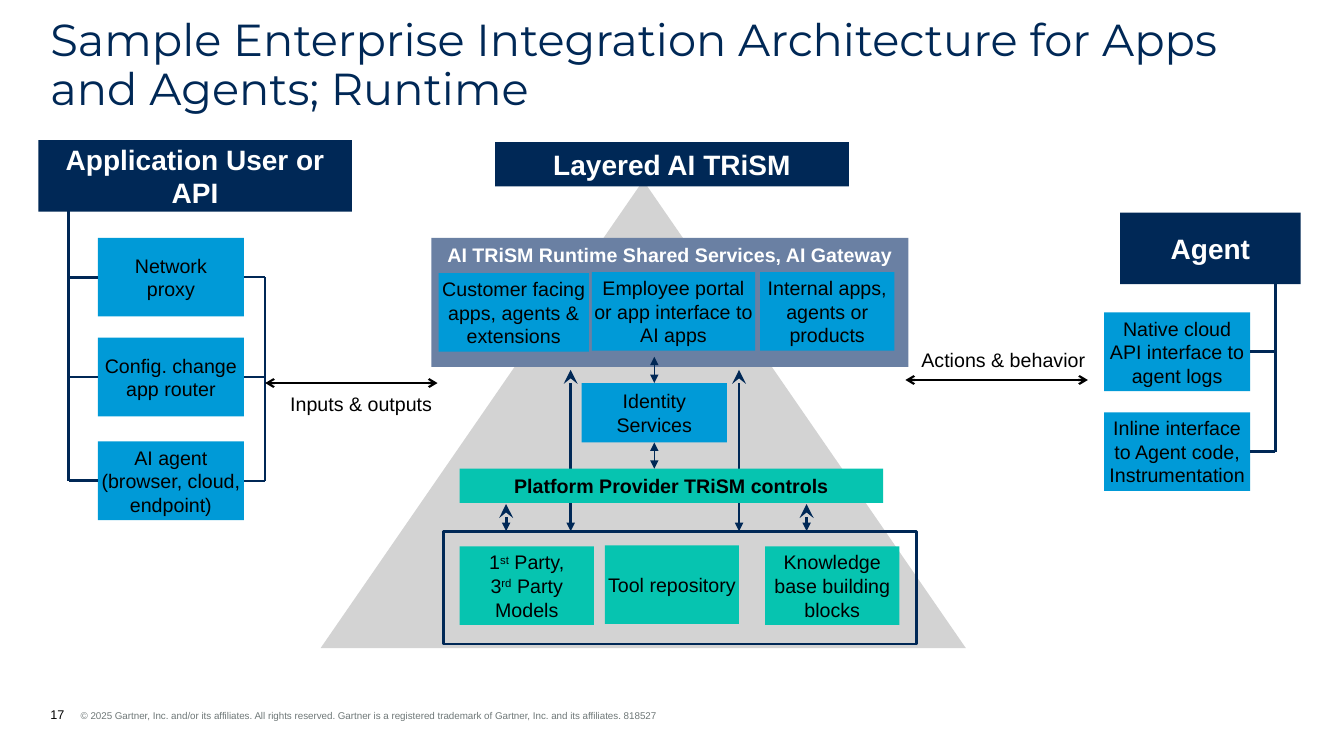
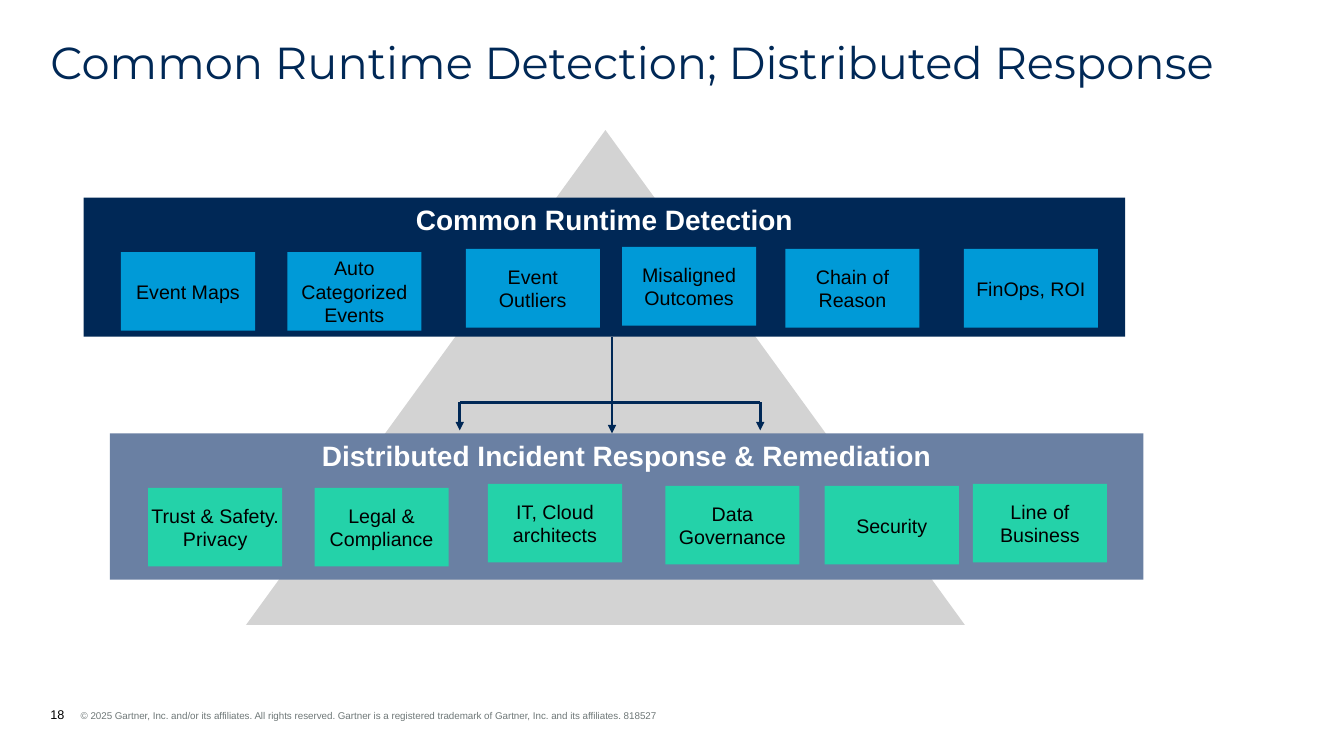
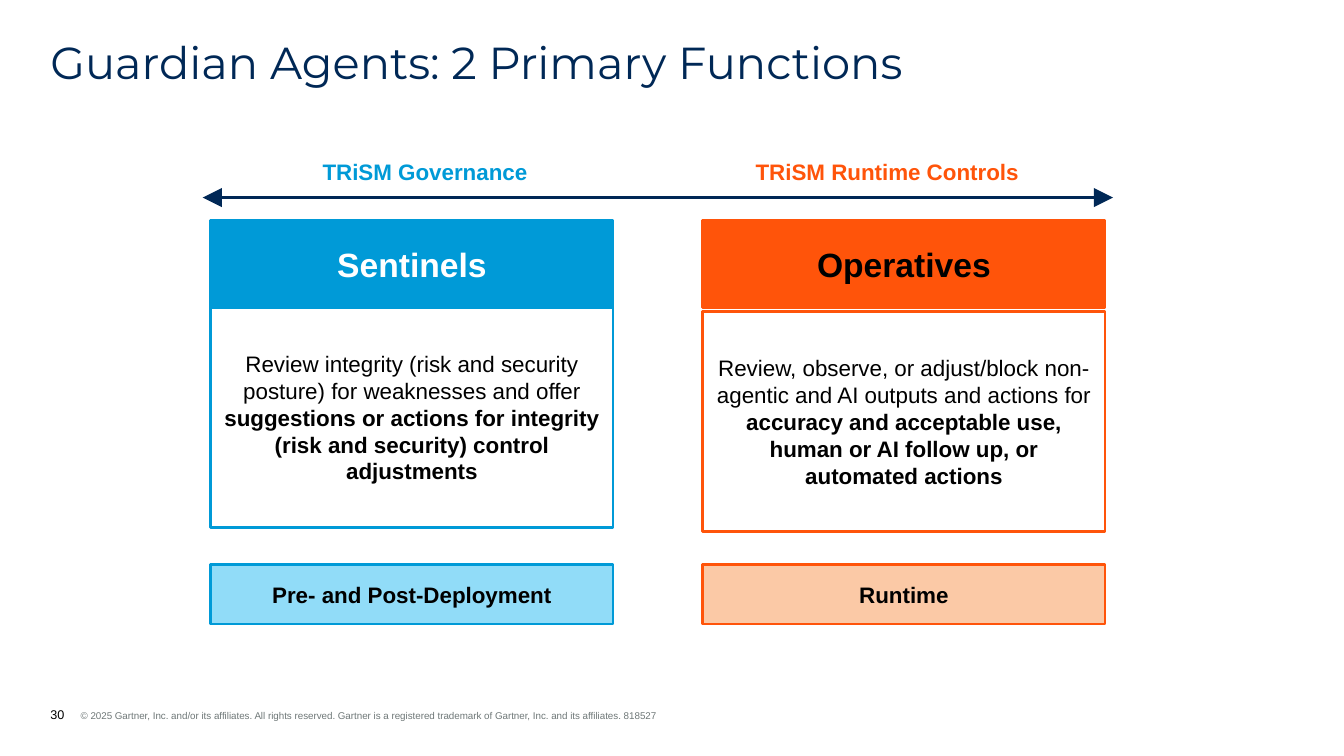
"""Builds three slides on AI TRiSM runtime architecture and guardian agents."""
from pptx import Presentation
from pptx.dml.color import RGBColor
from pptx.enum.shapes import MSO_CONNECTOR, MSO_SHAPE
from pptx.enum.text import MSO_ANCHOR, MSO_AUTO_SIZE, PP_ALIGN
from pptx.oxml.ns import qn
from pptx.util import Inches, Pt
from lxml import etree

RECT = MSO_SHAPE.RECTANGLE
TRIANGLE = MSO_SHAPE.ISOSCELES_TRIANGLE
STRAIGHT = MSO_CONNECTOR.STRAIGHT
TOP, MIDDLE, BOTTOM = MSO_ANCHOR.TOP, MSO_ANCHOR.MIDDLE, MSO_ANCHOR.BOTTOM
LEFT, CENTER = PP_ALIGN.LEFT, PP_ALIGN.CENTER
NO_FIT = MSO_AUTO_SIZE.NONE
SITE_TOP, SITE_LEFT, SITE_BOTTOM, SITE_RIGHT = range(4)

COLORS = {
    "navy": "002856",
    "slate": "6A80A3",
    "blue": "009AD7",
    "sky": "91DCF8",
    "teal": "06C4B0",
    "mint": "24D2A9",
    "orange": "FF540A",
    "peach": "FBC9A6",
    "silver": "D3D3D3",
    "gray": "6F7878",
    "black": "000000",
    "white": "FFFFFF",
}
COPYRIGHT = ("© 2025 Gartner, Inc. and/or its affiliates. All rights reserved. "
             "Gartner is a registered trademark of Gartner, Inc. and its affiliates. 818527")
CHIP_HEIGHT = 0.78
CHIP_WIDTH = 1.33
SIDE_WIDTH = 1.45


def rgb(name):
    return RGBColor.from_string(COLORS[name])


class Deck:
    """Holds the shared style and the slide being filled."""

    def __init__(self):
        self.prs = Presentation()
        self.prs.slide_width = Inches(13.33)
        self.prs.slide_height = Inches(7.5)
        self.slide = None

    def new_slide(self, title, number, title_top=0.4, title_height=0.48):
        self.slide = self.prs.slides.add_slide(self.prs.slide_layouts[5])
        heading = self.slide.shapes.title
        heading.left, heading.top = Inches(0.5), Inches(title_top)
        heading.width, heading.height = Inches(12.33), Inches(title_height)
        self.frame(heading, TOP, 0)
        paragraph = self.paragraph(heading.text_frame, 0, title, LEFT)
        paragraph.line_spacing = 0.9
        self.style(paragraph.font, 32, "navy", face="Montserrat")
        self.footer(number)

    def footer(self, number):
        box = self.slide.shapes.add_textbox(Inches(0.5), Inches(7.01), Inches(7.85), Inches(0.15))
        self.frame(box, BOTTOM, 0)
        paragraph = box.text_frame.paragraphs[0]
        properties = paragraph._p.get_or_add_pPr()
        properties.set("marL", str(Inches(0.3)))
        properties.set("indent", str(-Inches(0.3)))
        for text, size, color in ((str(number), 9, "black"), ("\t" + COPYRIGHT, 7, "gray")):
            run = paragraph.add_run()
            run.text = text
            self.style(run.font, size, color)

    def frame(self, shape, anchor, margin):
        frame = shape.text_frame
        frame.word_wrap = True
        frame.auto_size = NO_FIT
        frame.vertical_anchor = anchor
        frame.margin_left = frame.margin_right = Inches(margin)
        frame.margin_top = frame.margin_bottom = Inches(min(margin, 0.05))

    def style(self, font, size, color, bold=False, face="Arial"):
        font.name = face
        font.size = Pt(size)
        font.bold = bold
        font.color.rgb = rgb(color)

    def paragraph(self, frame, index, content, align):
        paragraph = frame.add_paragraph() if index else frame.paragraphs[0]
        paragraph.alignment = align
        if isinstance(content, str):
            paragraph.text = content
            return paragraph
        for text, kind in content:
            run = paragraph.add_run()
            run.text = text
            if kind == "bold":
                run.font.bold = True
            elif kind == "super":
                run._r.get_or_add_rPr().set("baseline", "30000")
        return paragraph

    def set_text(self, shape, content, size, color, bold, align, anchor, margin):
        self.frame(shape, anchor, margin)
        paragraphs = [content] if isinstance(content, str) else content
        for index, item in enumerate(paragraphs):
            paragraph = self.paragraph(shape.text_frame, index, item, align)
            self.style(paragraph.font, size, color, bold)

    def shape(self, kind, left, top, width, height, fill=None, line=None):
        shape = self.slide.shapes.add_shape(
            kind, Inches(left), Inches(top), Inches(width), Inches(height))
        shape.shadow.inherit = False
        if fill:
            shape.fill.solid()
            shape.fill.fore_color.rgb = rgb(fill)
        else:
            shape.fill.background()
        if line:
            shape.line.color.rgb = rgb(line)
            shape.line.width = Pt(2)
        else:
            shape.line.fill.background()
        return shape

    def block(self, content, left, top, width, height, fill, line=None, size=14,
              color="black", bold=False, anchor=MIDDLE, margin=0.02):
        block = self.shape(RECT, left, top, width, height, fill, line)
        self.set_text(block, content, size, color, bold, CENTER, anchor, margin)
        return block

    def banner(self, text, left, top, width, height, fill="navy", size=20, anchor=MIDDLE):
        self.block(text, left, top, width, height, fill, size=size, color="white",
                   bold=True, anchor=anchor, margin=0.05)

    def label(self, text, left, top, width, size=14, color="black", bold=False,
              align=LEFT, margin=0.1):
        box = self.slide.shapes.add_textbox(
            Inches(left), Inches(top), Inches(width), Inches(0.36))
        self.set_text(box, text, size, color, bold, align, TOP, margin)

    def line(self, x1, y1, x2, y2, color="navy", width=2, head=None, tail=None,
             head_size="med", tail_size="med"):
        line = self.slide.shapes.add_connector(
            STRAIGHT, Inches(x1), Inches(y1), Inches(x2), Inches(y2))
        line.line.color.rgb = rgb(color)
        line.line.width = Pt(width)
        outline = line.line._get_or_add_ln()
        for tag, kind, size in (("a:headEnd", head, head_size), ("a:tailEnd", tail, tail_size)):
            if kind:
                etree.SubElement(outline, qn(tag), type=kind, w=size, len=size)
        etree.SubElement(line._element.spPr, qn("a:effectLst"))
        return line

    def bracket(self, x, blocks, site, top=None, width=2):
        middles = [(block.top + block.height / 2) / Inches(1) for block in blocks]
        self.line(x, middles[0] if top is None else top, x, middles[-1], width=width)
        for block, middle in zip(blocks, middles):
            self.line(x, middle, x, middle, width=width).end_connect(block, site)


def integration_slide(deck):
    deck.new_slide("Sample Enterprise Integration Architecture for Apps and Agents; Runtime",
                   17, 0.18, 0.96)
    deck.shape(TRIANGLE, 3.18, 1.79, 6.4, 4.64, "silver")
    deck.banner("Layered AI TRiSM", 4.91, 1.41, 3.51, 0.44)
    deck.banner("Application User or API", 0.38, 1.39, 3.11, 0.71)
    deck.banner("Agent", 11.11, 2.11, 1.79, 0.71)
    deck.banner("AI TRiSM Runtime Shared Services, AI Gateway", 4.28, 2.36, 4.73, 1.28,
                "slate", 14, TOP)
    for text, left, top, width in (
            ("Customer facing apps, agents & extensions", 4.35, 2.71, 1.49),
            ("Employee portal or app interface to AI apps", 5.87, 2.7, 1.62),
            ("Internal apps, agents or products", 7.54, 2.7, 1.33)):
        deck.block(text, left, top, width, CHIP_HEIGHT, "blue")

    for x, top in ((5.66, 3.67), (7.33, 3.67), (5.02, 5), (8, 5)):
        deck.line(x, top, x, 5.27, head="stealth", tail="triangle", head_size="lg")
    deck.block("Platform Provider TRiSM controls", 4.56, 4.65, 4.2, 0.34, "teal", bold=True)

    identity = deck.block("Identity Services", 5.77, 3.8, 1.44, 0.59, "blue")
    from_services = deck.line(6.49, 3.54, 6.49, 3.8, width=0.75, head="triangle", tail="triangle")
    from_services.end_connect(identity, SITE_TOP)
    to_platform = deck.line(6.49, 4.39, 6.49, 4.65, width=0.75, head="triangle", tail="triangle")
    to_platform.begin_connect(identity, SITE_BOTTOM)

    deck.shape(RECT, 4.4, 5.27, 4.69, 1.12, line="navy")
    models = [[("1", ""), ("st", "super"), (" Party,", "")],
              [("3", ""), ("rd", "super"), (" Party Models", "")]]
    for content, left, top in ((models, 4.56, 5.42), ("Tool repository", 6, 5.41),
                               ("Knowledge base building blocks", 7.59, 5.42)):
        deck.block(content, left, top, CHIP_WIDTH, CHIP_HEIGHT, "teal")

    entry_points = [deck.block(text, 0.97, top, SIDE_WIDTH, CHIP_HEIGHT, "blue")
                    for text, top in (("Network\nproxy", 2.36),
                                      ("Config. change app router", 3.35),
                                      ("AI agent (browser, cloud, endpoint)", 4.38))]
    deck.bracket(0.68, entry_points, SITE_LEFT, 2.09)
    deck.bracket(2.63, entry_points, SITE_RIGHT, width=1.5)

    agent_interfaces = [deck.block(text, 10.95, top, SIDE_WIDTH, CHIP_HEIGHT, "blue")
                        for text, top in (("Native cloud API interface to agent logs", 3.1),
                                          ("Inline interface to Agent code, Instrumentation", 4.09))]
    deck.bracket(12.65, agent_interfaces, SITE_RIGHT, 2.82)

    for text, left, top, width, start, end, y in (
            ("Inputs & outputs", 2.78, 3.84, 1.77, 2.63, 4.34, 3.8),
            ("Actions & behavior", 9.04, 3.4, 1.91, 8.98, 10.79, 3.77)):
        deck.label(text, left, top, width)
        deck.line(start, y, end, y, "black", 1.5, "arrow", "arrow")


def detection_slide(deck):
    deck.new_slide("Common Runtime Detection; Distributed Response", 18)
    deck.shape(TRIANGLE, 2.44, 1.29, 7.13, 4.91, "silver")
    deck.banner("Common Runtime Detection", 0.83, 1.96, 10.33, 1.38, anchor=TOP)
    deck.banner("Distributed Incident Response & Remediation", 1.09, 4.3, 10.25, 1.45,
                "slate", anchor=TOP)

    deck.line(4.56, 3.99, 7.54, 3.99)
    for x, top, bottom in ((4.56, 3.99, 4.27), (6.07, 3.34, 4.3), (7.54, 3.99, 4.27)):
        deck.line(x, top, x, bottom, tail="triangle")

    detections = (("Event Maps", 1.2, 2.5), ("Auto Categorized Events", 2.85, 2.5),
                  (["Event", "Outliers"], 4.62, 2.47), ("Misaligned Outcomes", 6.17, 2.45),
                  ("Chain of Reason", 7.79, 2.47), ("FinOps, ROI", 9.56, 2.47))
    responders = (("Trust & Safety. Privacy", 1.47, 4.84), ("Legal & Compliance", 3.12, 4.84),
                  ("IT, Cloud architects", 4.84, 4.8), ("Data Governance", 6.6, 4.82),
                  ("Security", 8.18, 4.82), ("Line of Business", 9.65, 4.8))
    for chips, fill in ((detections, "blue"), (responders, "mint")):
        for content, left, top in chips:
            deck.block(content, left, top, CHIP_WIDTH, CHIP_HEIGHT, fill)


def guardian_slide(deck):
    deck.new_slide("Guardian Agents: 2 Primary Functions", 30)
    sentinel_role = [("Review integrity (risk and security posture) for weaknesses and offer ", ""),
                     ("suggestions or actions for integrity (risk and security) control "
                      "adjustments", "bold")]
    operative_role = [("Review, observe, or adjust/block non-agentic and AI outputs and "
                       "actions for ", ""),
                      ("accuracy and acceptable use, human or AI follow up, or automated "
                       "actions", "bold")]
    for left, role_top, accent, tint, name, name_color, role, phase in (
            (2.09, 3.05, "blue", "sky", "Sentinels", "white", sentinel_role,
             "Pre- and Post-Deployment"),
            (6.97, 3.09, "orange", "peach", "Operatives", "black", operative_role, "Runtime")):
        deck.block([role], left, role_top, 3.99, 2.18, "white", accent, 16, margin=0.1)
        deck.block(name, left, 2.19, 3.99, 0.86, accent, accent, 24, name_color, True)
        deck.block(phase, left, 5.6, 3.99, 0.59, tint, accent, 16, bold=True)

    for text, left, width, color in (("TRiSM Governance", 2.91, 2.61, "blue"),
                                     ("TRiSM Runtime Controls", 6.97, 3.66, "orange")):
        deck.label(text, left, 1.52, width, 16, color, True, CENTER, 0.05)
    deck.line(2.01, 1.96, 11.04, 1.96, width=2.75, head="triangle", tail="triangle",
              head_size="lg", tail_size="lg")


def main():
    deck = Deck()
    integration_slide(deck)
    detection_slide(deck)
    guardian_slide(deck)
    deck.prs.save("out.pptx")


if __name__ == "__main__":
    main()
